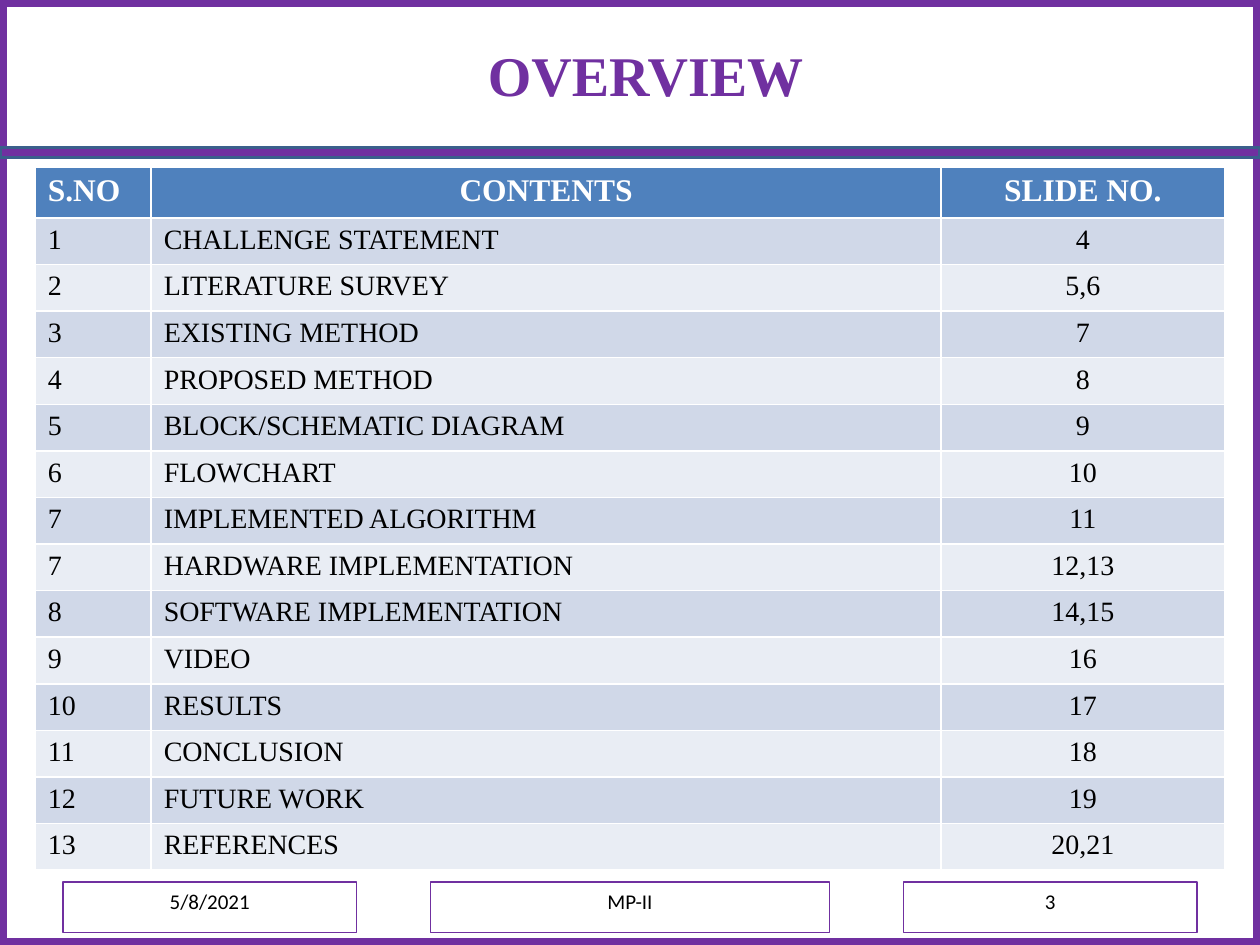
from pptx import Presentation
from pptx.dml.color import RGBColor
from pptx.enum.shapes import MSO_SHAPE
from pptx.enum.text import MSO_ANCHOR, PP_ALIGN
from pptx.util import Inches, Pt

COLORS = {
    "purple": "7030A0",
    "rule_edge": "3A5F8C",
    "header": "4F81BD",
    "band_dark": "D0D8E8",
    "band_light": "E9EDF4",
    "white": "FFFFFF",
    "black": "000000",
}
SERIF = "Times New Roman"
HEADINGS = ("S.NO", "CONTENTS", "SLIDE NO.")
CONTENTS = [
    ("1", "CHALLENGE STATEMENT", "4"),
    ("2", "LITERATURE SURVEY", "5,6"),
    ("3", "EXISTING METHOD", "7"),
    ("4", "PROPOSED METHOD", "8"),
    ("5", "BLOCK/SCHEMATIC DIAGRAM", "9"),
    ("6", "FLOWCHART", "10"),
    ("7", "IMPLEMENTED ALGORITHM", "11"),
    ("7", "HARDWARE IMPLEMENTATION", "12,13"),
    ("8", "SOFTWARE IMPLEMENTATION", "14,15"),
    ("9", "VIDEO", "16"),
    ("10", "RESULTS", "17"),
    ("11", "CONCLUSION", "18"),
    ("12", "FUTURE WORK", "19"),
    ("13", "REFERENCES", "20,21"),
]


def color(name):
    """Return the named colour."""
    return RGBColor.from_string(COLORS[name])


def write_text(frame, text, size=16, font=SERIF, ink="black", bold=False,
               align=PP_ALIGN.LEFT, anchor=MSO_ANCHOR.TOP):
    """Write one formatted paragraph into a text frame."""
    frame.word_wrap = True
    frame.vertical_anchor = anchor
    paragraph = frame.paragraphs[0]
    paragraph.alignment = align
    run = paragraph.add_run()
    run.text = text
    run.font.size = Pt(size)
    run.font.name = font
    run.font.bold = bold
    run.font.color.rgb = color(ink)


def add_box(slide, box, line, width, fill=None):
    """Add an outlined rectangle, filled only when a fill is given."""
    shape = slide.shapes.add_shape(MSO_SHAPE.RECTANGLE, *map(Inches, box))
    shape.shadow.inherit = False
    shape.line.color.rgb = color(line)
    shape.line.width = Pt(width)
    if fill:
        shape.fill.solid()
        shape.fill.fore_color.rgb = color(fill)
    else:
        shape.fill.background()
    return shape


def add_frame(slide, box):
    """Draw the border around the slide and the rule below the title."""
    left, top, width, height = box
    add_box(slide, box, "purple", 7.5)
    add_box(slide, (left, top + 1.17, width, 0.08), "rule_edge", 2, "purple")


def place_title(slide, box, text):
    """Move and format the title placeholder."""
    title = slide.shapes.title
    title.left, title.top, title.width, title.height = map(Inches, box)
    title.fill.solid()
    title.fill.fore_color.rgb = color("white")
    write_text(title.text_frame, text, size=32, ink="purple", bold=True,
               align=PP_ALIGN.CENTER, anchor=MSO_ANCHOR.MIDDLE)


def add_footer(slide, box, date, label, number):
    """Add the date, label and slide number boxes along the bottom."""
    left, top, width, height = box
    side, middle = 2.33, 3.17
    parts = [
        (left, side, date),
        (left + (width - middle) / 2, middle, label),
        (left + width - side, side, number),
    ]
    for part_left, part_width, text in parts:
        shape = add_box(slide, (part_left, top, part_width, height), "purple", 0.75)
        write_text(shape.text_frame, text, size=12, font="Calibri",
                   align=PP_ALIGN.CENTER)


def add_contents_table(slide, box):
    """Add the banded table of contents."""
    rows = [HEADINGS, *CONTENTS]
    table = slide.shapes.add_table(len(rows), len(HEADINGS), *map(Inches, box)).table
    for column, width in zip(table.columns, (0.92, 6.27, 2.25)):
        column.width = Inches(width)
    for row_index, values in enumerate(rows):
        heading = row_index == 0
        table.rows[row_index].height = Inches(0.4 if heading else 0.37)
        band = "band_dark" if row_index % 2 else "band_light"
        for column_index, text in enumerate(values):
            cell = table.cell(row_index, column_index)
            cell.fill.solid()
            cell.fill.fore_color.rgb = color("header" if heading else band)
            centred = column_index == 2 or (heading and column_index == 1)
            write_text(cell.text_frame, text,
                       size=18 if heading else 16,
                       ink="white" if heading else "black",
                       bold=heading,
                       align=PP_ALIGN.CENTER if centred else PP_ALIGN.LEFT)


def main():
    """Build and save the overview slide."""
    presentation = Presentation()
    presentation.slide_width = Inches(10)
    presentation.slide_height = Inches(7.5)
    slide = presentation.slides.add_slide(presentation.slide_layouts[5])
    add_frame(slide, (0, 0, 10, 7.5))
    place_title(slide, (1.5, 0.17, 7.25, 0.83), "OVERVIEW")
    add_footer(slide, (0.5, 7, 9, 0.4), "5/8/2021", "MP-II", "3")
    add_contents_table(slide, (0.28, 1.33, 9.44, 5.58))
    presentation.save("out.pptx")


if __name__ == "__main__":
    main()
